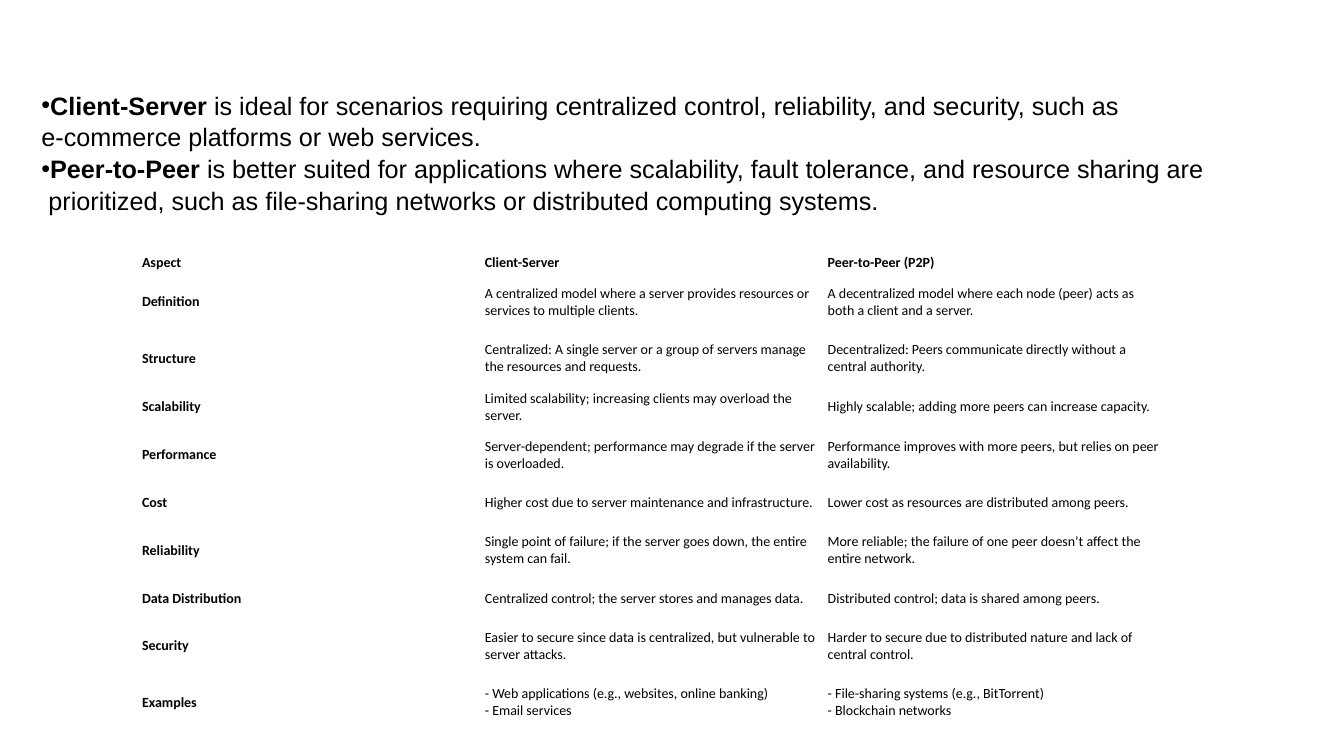
from copy import deepcopy
from dataclasses import dataclass

from lxml.etree import SubElement
from pptx import Presentation
from pptx.dml.color import RGBColor
from pptx.enum.text import MSO_ANCHOR, MSO_AUTO_SIZE, PP_ALIGN
from pptx.oxml.ns import qn
from pptx.util import Cm, Pt


@dataclass(frozen=True)
class Theme:
    ink: RGBColor = RGBColor(0, 0, 0)
    summary_font: str = "Arial"
    summary_size: int = 18
    table_font: str = "Calibri"
    table_size: int = 10


THEME = Theme()
TITLE_ONLY = 5

SUMMARY = [
    ("Client-Server",
     " is ideal for scenarios requiring centralized control, reliability, and security, such as\n"
     "e-commerce platforms or web services."),
    ("Peer-to-Peer",
     " is better suited for applications where scalability, fault tolerance, and resource sharing are\n"
     " prioritized, such as file-sharing networks or distributed computing systems."),
]

HEADER, SHORT, TALL = Cm(0.56), Cm(0.99), Cm(1.42)
COLUMN = Cm(8.64)
COMPARISON = [
    (HEADER, "Aspect", "Client-Server", "Peer-to-Peer (P2P)"),
    (TALL, "Definition",
     "A centralized model where a server provides resources or services to multiple clients.",
     "A decentralized model where each node (peer) acts as both a client and a server."),
    (TALL, "Structure",
     "Centralized: A single server or a group of servers manage the resources and requests.",
     "Decentralized: Peers communicate directly without a central authority."),
    (SHORT, "Scalability",
     "Limited scalability; increasing clients may overload the server.",
     "Highly scalable; adding more peers can increase capacity."),
    (TALL, "Performance",
     "Server-dependent; performance may degrade if the server is overloaded.",
     "Performance improves with more peers, but relies on peer availability."),
    (SHORT, "Cost",
     "Higher cost due to server maintenance and infrastructure.",
     "Lower cost as resources are distributed among peers."),
    (TALL, "Reliability",
     "Single point of failure; if the server goes down, the entire system can fail.",
     "More reliable; the failure of one peer doesn’t affect the entire network."),
    (SHORT, "Data Distribution",
     "Centralized control; the server stores and manages data.",
     "Distributed control; data is shared among peers."),
    (TALL, "Security",
     "Easier to secure since data is centralized, but vulnerable to server attacks.",
     "Harder to secure due to distributed nature and lack of central control."),
    (TALL, "Examples",
     "- Web applications (e.g., websites, online banking)\n- Email services",
     "- File-sharing systems (e.g., BitTorrent)\n- Blockchain networks"),
]


def write(paragraph, text, font, size, bold):
    """Append text to the paragraph, giving its line breaks the same format."""
    for number, line in enumerate(text.split("\n")):
        if number:
            paragraph.add_line_break()
            line_break = paragraph._p.findall(qn("a:br"))[-1]
            line_break.append(deepcopy(run._r.rPr))
        run = paragraph.add_run()
        run.text = line
        run.font.name = font
        run.font.size = Pt(size)
        run.font.bold = bold
        run.font.color.rgb = THEME.ink


def add_bullet(paragraph):
    properties = paragraph._p.get_or_add_pPr()
    properties.set("marL", "0")
    properties.set("indent", "0")
    SubElement(properties, qn("a:buFont"), typeface=THEME.summary_font)
    SubElement(properties, qn("a:buChar"), char="•")


def fill_summary(title):
    title.left, title.top = Cm(0.79), Cm(2.16)
    title.width, title.height = Cm(30.07), Cm(3.33)
    frame = title.text_frame
    frame.word_wrap = False
    frame.auto_size = MSO_AUTO_SIZE.SHAPE_TO_FIT_TEXT
    frame.vertical_anchor = MSO_ANCHOR.MIDDLE
    for number, (model, verdict) in enumerate(SUMMARY):
        paragraph = frame.add_paragraph() if number else frame.paragraphs[0]
        add_bullet(paragraph)
        paragraph.alignment = PP_ALIGN.LEFT
        paragraph.line_spacing = 1.05
        paragraph.space_before = Pt(0)
        write(paragraph, model, THEME.summary_font, THEME.summary_size, True)
        write(paragraph, verdict, THEME.summary_font, THEME.summary_size, False)


def fill_cell(cell, text, bold):
    cell.fill.background()
    cell.vertical_anchor = MSO_ANCHOR.MIDDLE
    cell.margin_left = cell.margin_right = Cm(0.15)
    cell.margin_top = cell.margin_bottom = Cm(0.08)
    write(cell.text_frame.paragraphs[0], text, THEME.table_font, THEME.table_size, bold)


def add_comparison(slide):
    heights = [height for height, *_ in COMPARISON]
    table = slide.shapes.add_table(
        len(COMPARISON), 3, Cm(3.43), Cm(6.32), 3 * COLUMN, sum(heights)).table
    table.first_row = table.horz_banding = False
    for column in table.columns:
        column.width = COLUMN
    for r, (height, *texts) in enumerate(COMPARISON):
        table.rows[r].height = height
        for c, text in enumerate(texts):
            fill_cell(table.cell(r, c), text, bold=r == 0 or c == 0)


def main():
    deck = Presentation()
    deck.slide_width, deck.slide_height = Cm(33.87), Cm(19.05)
    slide = deck.slides.add_slide(deck.slide_layouts[TITLE_ONLY])
    fill_summary(slide.shapes.title)
    add_comparison(slide)
    deck.save("out.pptx")


if __name__ == "__main__":
    main()
